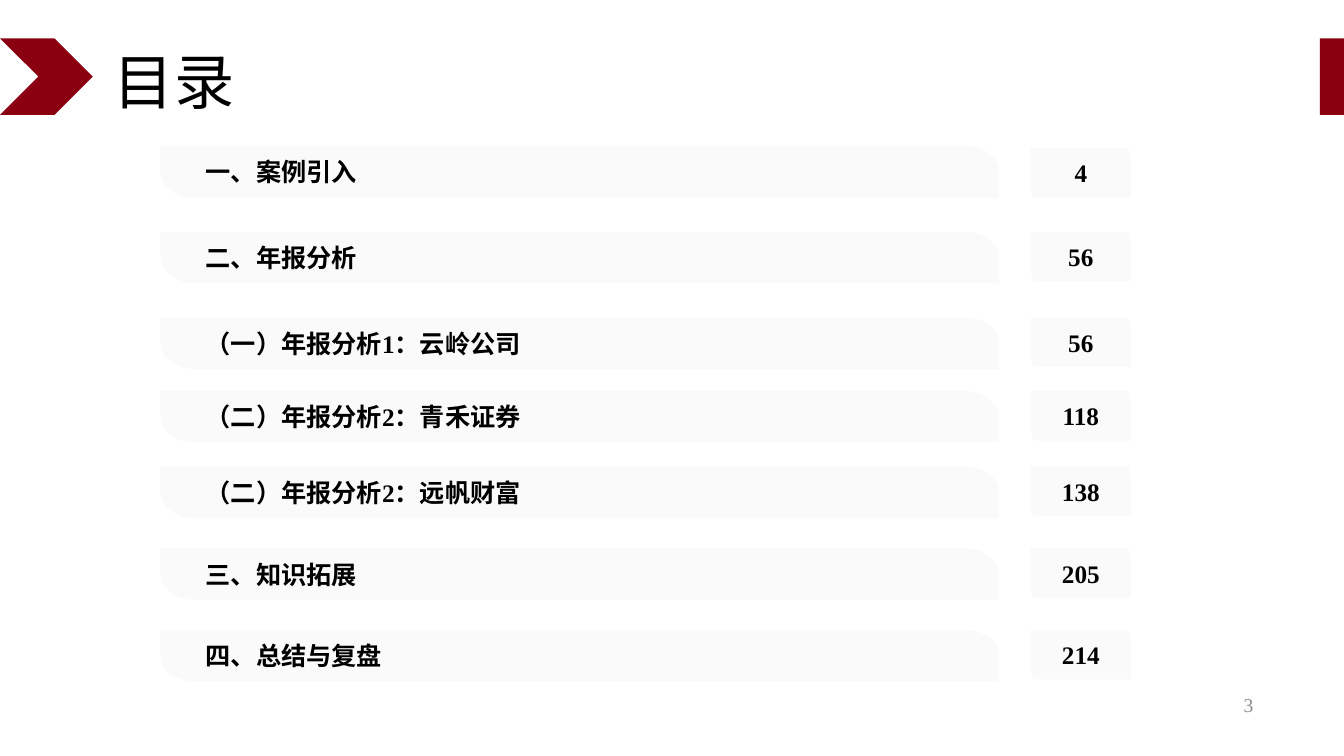
from lxml.etree import SubElement
from pptx import Presentation
from pptx.dml.color import RGBColor
from pptx.enum.lang import MSO_LANGUAGE_ID
from pptx.enum.shapes import MSO_SHAPE
from pptx.enum.text import MSO_ANCHOR, MSO_AUTO_SIZE, PP_ALIGN
from pptx.oxml.ns import qn
from pptx.util import Inches, Pt


def write(shape, text, size, color, align, bold=False, left=0.1, right=0.1):
    frame = shape.text_frame
    frame.word_wrap = True
    frame.auto_size = MSO_AUTO_SIZE.NONE
    frame.vertical_anchor = MSO_ANCHOR.MIDDLE
    frame.margin_left = Inches(left)
    frame.margin_right = Inches(right)
    frame.margin_top = frame.margin_bottom = Inches(0.04)
    para = frame.paragraphs[0]
    para.alignment = align
    span = para.add_run()
    span.text = text
    span.font.name = "Times New Roman"
    span.font.language_id = MSO_LANGUAGE_ID.SIMPLIFIED_CHINESE
    span.font.size = Pt(size)
    span.font.bold = bold
    span.font.color.rgb = RGBColor.from_string(color)
    return para


def add_leaf(page, left, top, width, height, radius_x, radius_y):
    right, bottom = left + width, top + height
    corners = [
        (right - radius_x, top), (right, top + radius_y), (right, bottom),
        (left + radius_x, bottom), (left, bottom - radius_y),
    ]
    builder = page.shapes.build_freeform(Inches(left), Inches(top))
    builder.add_line_segments([(Inches(x), Inches(y)) for x, y in corners])
    leaf = builder.convert_to_shape()
    segments = list(leaf.element.iter(qn("a:lnTo")))
    for index in (1, 4):
        start_x, start_y = [int(segments[index - 1][0].get(axis)) for axis in "xy"]
        end_x, end_y = [int(segments[index][0].get(axis)) for axis in "xy"]
        control_x = round(start_x + 0.55 * (end_x - start_x))
        control_y = round(end_y + 0.55 * (start_y - end_y))
        curve = SubElement(segments[index].getparent(), qn("a:cubicBezTo"))
        for x, y in [(control_x, start_y), (end_x, control_y), (end_x, end_y)]:
            SubElement(curve, qn("a:pt"), x=str(x), y=str(y))
        segments[index].getparent().replace(segments[index], curve)
    leaf.shadow.inherit = False
    leaf.fill.solid()
    leaf.fill.fore_color.rgb = RGBColor.from_string("FAFAFA")
    leaf.line.fill.background()
    return leaf


deck = Presentation()
deck.slide_width = Inches(13.33)
deck.slide_height = Inches(7.5)
page = deck.slides.add_slide(deck.slide_layouts[5])

for preset, left, width in [(MSO_SHAPE.CHEVRON, 0, 0.92), (MSO_SHAPE.RECTANGLE, 13.09, 0.24)]:
    accent = page.shapes.add_shape(preset, Inches(left), Inches(0.38), Inches(width), Inches(0.76))
    accent.shadow.inherit = False
    accent.fill.solid()
    accent.fill.fore_color.rgb = RGBColor.from_string("8B0011")
    accent.line.fill.background()

title = page.shapes.title
title.left, title.top = Inches(1.03), Inches(0.39)
title.width, title.height = Inches(9.22), Inches(0.9)
title_para = write(title, "目录", 43, "000000", PP_ALIGN.LEFT)
title_para.line_spacing = 0.9

contents = [
    (1.45, 1.47, "一、案例引入", "4"),
    (2.3, 2.3, "二、年报分析", "56"),
    (3.15, 3.15, "（一）年报分析1：云岭公司", "56"),
    (3.88, 3.88, "（二）年报分析2：青禾证券", "118"),
    (4.63, 4.63, "（二）年报分析2：远帆财富", "138"),
    (5.44, 5.44, "三、知识拓展", "205"),
    (6.25, 6.25, "四、总结与复盘", "214"),
]
for bar_top, number_top, heading, number in contents:
    bar = add_leaf(page, 1.59, bar_top, 8.32, 0.51, 0.34, 0.26)
    write(bar, heading, 18, "000000", PP_ALIGN.LEFT, True, 0.45)
    badge = add_leaf(page, 10.22, number_top, 1, 0.49, 0.04, 0.24)
    write(badge, number, 18, "000000", PP_ALIGN.CENTER, True, 0, 0)

page_number = page.shapes.add_textbox(Inches(9.53), Inches(6.79), Inches(3), Inches(0.4))
write(page_number, "3", 14, "8C8C8C", PP_ALIGN.RIGHT)

deck.save("out.pptx")
